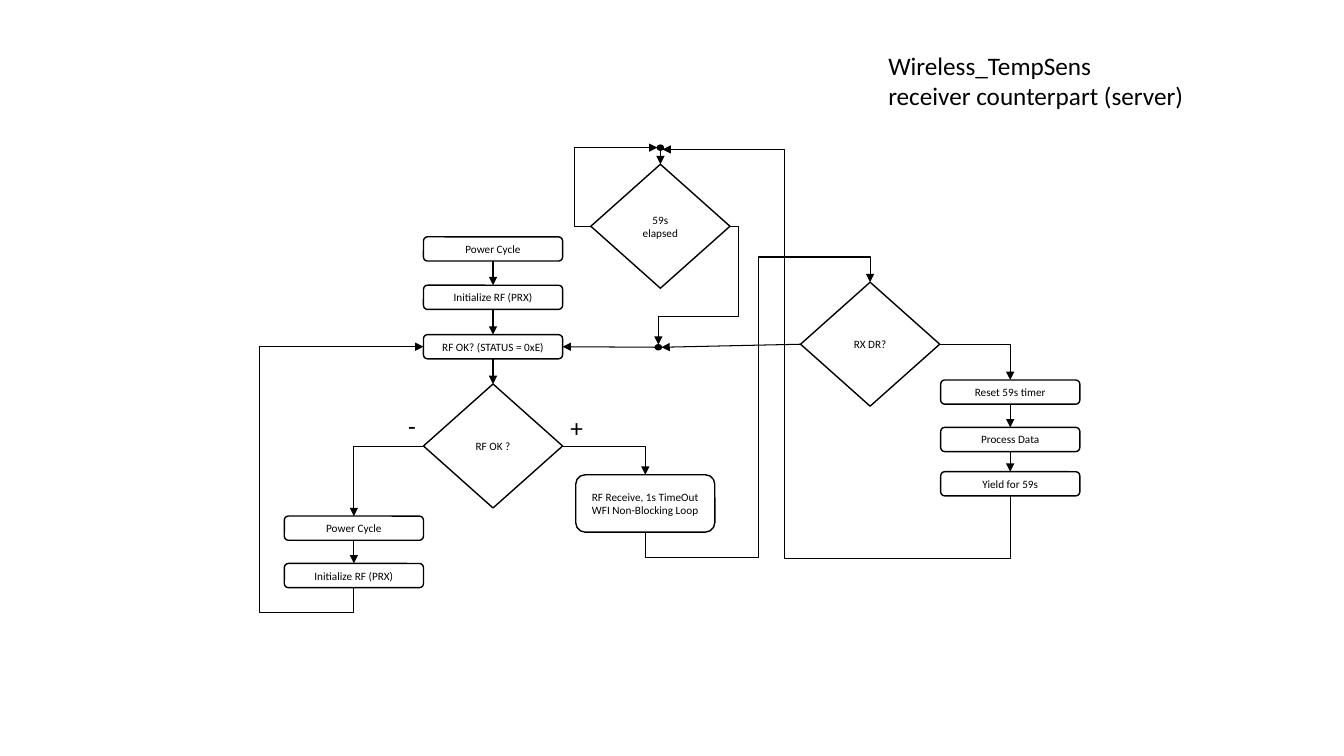
from dataclasses import dataclass
from typing import Optional

from lxml import etree
from pptx import Presentation
from pptx.dml.color import RGBColor
from pptx.enum.shapes import MSO_CONNECTOR, MSO_SHAPE
from pptx.enum.text import MSO_ANCHOR, MSO_AUTO_SIZE, PP_ALIGN
from pptx.oxml.ns import qn
from pptx.util import Inches, Pt

STRAIGHT, ELBOW = MSO_CONNECTOR.STRAIGHT, MSO_CONNECTOR.ELBOW
STEP, DECISION, DOT = MSO_SHAPE.ROUNDED_RECTANGLE, MSO_SHAPE.FLOWCHART_DECISION, MSO_SHAPE.OVAL
CENTER, LEFT_ALIGNED = PP_ALIGN.CENTER, PP_ALIGN.LEFT
MIDDLE, TOP_ANCHOR = MSO_ANCHOR.MIDDLE, MSO_ANCHOR.TOP
NO_AUTOFIT = MSO_AUTO_SIZE.NONE
TITLE_ONLY = 5


@dataclass(frozen=True)
class Theme:
    font: str = "Calibri"
    ink: RGBColor = RGBColor(0, 0, 0)
    paper: RGBColor = RGBColor(255, 255, 255)
    large: float = 18
    small: float = 8
    outline: float = 1
    arrow: float = 0.75


THEME = Theme()


@dataclass(frozen=True)
class Site:
    """A connection point: fractions of the shape's size, and its index by shape."""
    x: float
    y: float
    index: int
    dot_index: int


TOP = Site(0.5, 0, 0, 0)
LEFT = Site(0, 0.5, 1, 2)
BOTTOM = Site(0.5, 1, 2, 4)
RIGHT = Site(1, 0.5, 3, 6)
DOT_CORNER = Site(0.85, 0.85, 0, 5)


@dataclass(frozen=True)
class Node:
    name: str
    kind: int
    left: float
    top: float
    lines: tuple = ()
    width: float = 1.38
    height: float = 0.24

    def point(self, site: Site) -> tuple[float, float]:
        return self.left + site.x * self.width, self.top + site.y * self.height


@dataclass(frozen=True)
class Arrow:
    """An arrow; tracks are the x or y positions of its inner segments, in turn.

    Tracks of None make a straight arrow, an empty tuple a single corner.
    """
    start: str
    start_site: Site
    end: str
    end_site: Site
    tracks: Optional[tuple] = None


@dataclass(frozen=True)
class Label:
    text: str
    left: float
    top: float


def decision(name: str, left: float, top: float, *lines: str) -> Node:
    return Node(name, DECISION, left, top, lines, height=1.23)


def dot(name: str, left: float, top: float) -> Node:
    return Node(name, DOT, left, top, width=0.06, height=0.05)


NODES = (
    Node("power", STEP, 4.2, 2.35, ("Power Cycle",)),
    Node("initialize", STEP, 4.2, 2.83, ("Initialize RF (PRX)",)),
    Node("status", STEP, 4.2, 3.32, ("RF OK? (STATUS = 0xE)",)),
    decision("radio ok", 4.2, 3.81, "RF OK ?"),
    Node("power again", STEP, 2.82, 5.12, ("Power Cycle",)),
    Node("initialize again", STEP, 2.82, 5.59, ("Initialize RF (PRX)",)),
    Node("receive", STEP, 5.71, 4.71,
         ("RF Receive, 1s TimeOut", "WFI Non-Blocking Loop"), height=0.57),
    decision("data ready", 7.94, 2.8, "RX DR?"),
    Node("reset timer", STEP, 9.33, 3.77, ("Reset 59s timer",)),
    Node("process", STEP, 9.33, 4.24, ("Process Data",)),
    Node("yield", STEP, 9.33, 4.68, ("Yield for 59s",)),
    decision("elapsed", 5.86, 1.63, "59s", "elapsed"),
    dot("wait junction", 6.52, 1.44),
    dot("status junction", 6.5, 3.42),
)

ARROWS = (
    Arrow("power", BOTTOM, "initialize", TOP),
    Arrow("initialize", BOTTOM, "status", TOP),
    Arrow("status", BOTTOM, "radio ok", TOP),
    Arrow("radio ok", LEFT, "power again", TOP, ()),
    Arrow("power again", BOTTOM, "initialize again", TOP),
    Arrow("initialize again", BOTTOM, "status", LEFT, (6.08, 2.57)),
    Arrow("radio ok", RIGHT, "receive", TOP, ()),
    Arrow("receive", BOTTOM, "data ready", TOP, (5.53, 7.52, 2.55)),
    Arrow("data ready", RIGHT, "reset timer", TOP, ()),
    Arrow("reset timer", BOTTOM, "process", TOP),
    Arrow("process", BOTTOM, "yield", TOP),
    Arrow("yield", BOTTOM, "wait junction", DOT_CORNER, (5.54, 7.78)),
    Arrow("wait junction", BOTTOM, "elapsed", TOP),
    Arrow("elapsed", LEFT, "wait junction", LEFT, (5.7,)),
    Arrow("elapsed", RIGHT, "status junction", TOP, (7.33, 3.14)),
    Arrow("data ready", LEFT, "status junction", RIGHT),
    Arrow("status junction", LEFT, "status", RIGHT),
)

LABELS = (Label("+", 5.56, 4.04), Label("-", 3.95, 4.02))


def write_lines(text_frame, lines: tuple, size: float, alignment, anchor) -> None:
    text_frame.word_wrap = True
    text_frame.vertical_anchor = anchor
    paragraph = text_frame.paragraphs[0]
    paragraph.alignment = alignment
    for number, line in enumerate(lines):
        if number:
            paragraph.add_line_break()
        run = paragraph.add_run()
        run.text = line
        run.font.name = THEME.font
        run.font.size = Pt(size)
        run.font.color.rgb = THEME.ink


def add_node(slide, node: Node):
    shape = slide.shapes.add_shape(node.kind, Inches(node.left), Inches(node.top),
                                   Inches(node.width), Inches(node.height))
    shape.shadow.inherit = False
    if node.kind == DECISION:
        shape.fill.background()
    else:
        shape.fill.solid()
        shape.fill.fore_color.rgb = THEME.ink if node.kind == DOT else THEME.paper
    shape.line.color.rgb = THEME.ink
    shape.line.width = Pt(THEME.outline)
    if node.lines:
        write_lines(shape.text_frame, node.lines, THEME.small, CENTER, MIDDLE)
    return shape


def bend(connector, start: tuple, end: tuple, vertical: bool, tracks: tuple) -> None:
    """Turn an elbow connector so that its segments run along the tracks."""
    spans = [end[axis] - start[axis] for axis in (0, 1)]
    width, height = (abs(span) for span in (reversed(spans) if vertical else spans))
    same_sign = spans[0] * spans[1] > 0
    if vertical:
        rotation = 270 if spans[0] > 0 else 90
    else:
        rotation = 0 if spans[1] > 0 else 180
    connector.left = Inches((start[0] + end[0] - width) / 2)
    connector.top = Inches((start[1] + end[1] - height) / 2)
    connector.width, connector.height = Inches(width), Inches(height)
    frame = connector.element.spPr.find(qn("a:xfrm"))
    frame.set("rot", str(rotation * 60000))
    frame.set("flipH", str(int(same_sign == vertical)))
    frame.set("flipV", "0")

    geometry = connector.element.spPr.find(qn("a:prstGeom"))
    geometry.set("prst", f"bentConnector{len(tracks) + 2}")
    guides = geometry.find(qn("a:avLst"))
    for number, track in enumerate(tracks):
        axis = (number + vertical) % 2
        share = round((track - start[axis]) / spans[axis] * 100000)
        etree.SubElement(guides, qn("a:gd"), name=f"adj{number + 1}", fmla=f"val {share}")


def add_arrow(slide, arrow: Arrow, nodes: dict, shapes: dict) -> None:
    start_node, end_node = nodes[arrow.start], nodes[arrow.end]
    start, end = start_node.point(arrow.start_site), end_node.point(arrow.end_site)
    connector = slide.shapes.add_connector(STRAIGHT if arrow.tracks is None else ELBOW,
                                           *map(Inches, start + end))
    connector.begin_connect(shapes[arrow.start], arrow.start_site.index)
    connector.end_connect(shapes[arrow.end], arrow.end_site.index)
    for node, site, tag in ((start_node, arrow.start_site, "a:stCxn"),
                            (end_node, arrow.end_site, "a:endCxn")):
        if node.kind == DOT:
            next(connector.element.iter(qn(tag))).set("idx", str(site.dot_index))
    if arrow.tracks is None:
        connector.begin_x, connector.begin_y = map(Inches, start)
        connector.end_x, connector.end_y = map(Inches, end)
    else:
        bend(connector, start, end, arrow.start_site in (TOP, BOTTOM), arrow.tracks)
    connector.line.color.rgb = THEME.ink
    connector.line.width = Pt(THEME.arrow)
    etree.SubElement(connector.line._get_or_add_ln(), qn("a:tailEnd"), type="triangle")
    etree.SubElement(connector.element.spPr, qn("a:effectLst"))


def add_label(slide, label: Label) -> None:
    box = slide.shapes.add_textbox(Inches(label.left), Inches(label.top),
                                   Inches(0.3), Inches(0.4))
    write_lines(box.text_frame, (label.text,), THEME.large, LEFT_ALIGNED, TOP_ANCHOR)


def place_title(slide) -> None:
    title = slide.shapes.title
    title.left, title.top = Inches(8.71), Inches(0.45)
    title.width, title.height = Inches(3.63), Inches(0.86)
    title.text_frame.auto_size = NO_AUTOFIT
    write_lines(title.text_frame, ("Wireless_TempSens", "receiver counterpart (server)"),
                THEME.large, LEFT_ALIGNED, TOP_ANCHOR)


def main() -> None:
    presentation = Presentation()
    presentation.slide_width, presentation.slide_height = Inches(13.33), Inches(7.5)
    slide = presentation.slides.add_slide(presentation.slide_layouts[TITLE_ONLY])
    place_title(slide)
    nodes = {node.name: node for node in NODES}
    shapes = {node.name: add_node(slide, node) for node in NODES}
    for arrow in ARROWS:
        add_arrow(slide, arrow, nodes, shapes)
    for label in LABELS:
        add_label(slide, label)
    presentation.save("out.pptx")


if __name__ == "__main__":
    main()
